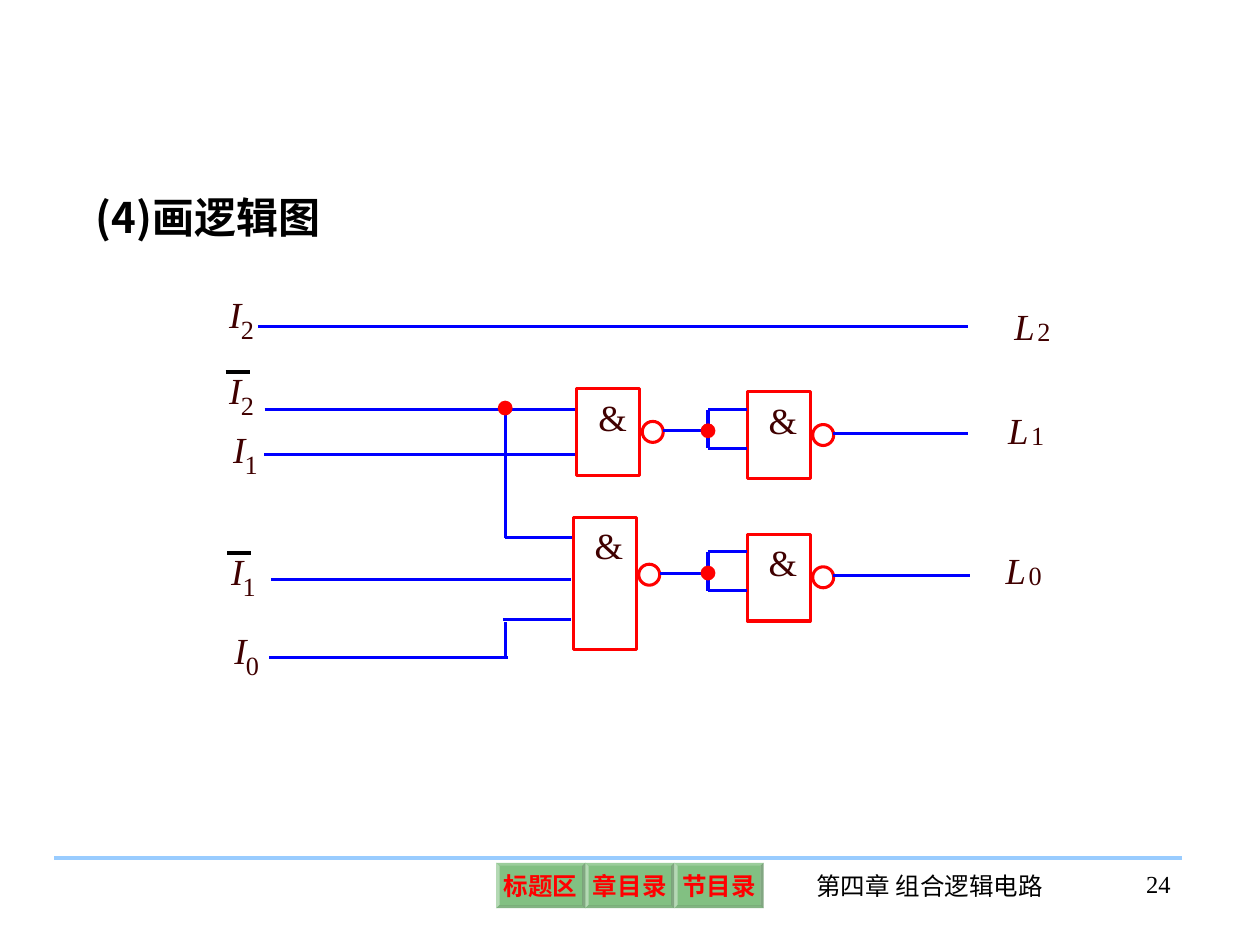
from dataclasses import dataclass

import pptx
import pptx.dml.color
import pptx.enum.shapes
import pptx.enum.text
import pptx.oxml.ns
import pptx.util
from lxml import etree

Pt = pptx.util.Pt
SHAPE = pptx.enum.shapes.MSO_SHAPE
ALIGN = pptx.enum.text.PP_ALIGN
ANCHOR = pptx.enum.text.MSO_ANCHOR
qn = pptx.oxml.ns.qn


@dataclass(frozen=True)
class Theme:
    latin: str = "Times New Roman"
    cjk: str = "Noto Sans CJK SC"
    black: str = "000000"
    red: str = "FF0000"
    wire: str = "0000FF"
    label: str = "400000"
    rule: str = "99CCFF"
    button: str = "008000"
    title_size: float = 24
    symbol_size: float = 21
    sub_size: float = 15
    footer_size: float = 14
    thin: float = 1.75
    thick: float = 2.25


T = Theme()


def rgb(color):
    return pptx.dml.color.RGBColor.from_string(color)


def write(tf, text, size, color, align, font=T.latin, bold=False,
          italic=False, margins=(0, 0), wrap=False, anchor=ANCHOR.TOP):
    """Format a text frame and put one run in it."""
    tf.margin_left = tf.margin_right = Pt(margins[0])
    tf.margin_top = tf.margin_bottom = Pt(margins[1])
    tf.word_wrap = wrap
    tf.vertical_anchor = anchor
    p = tf.paragraphs[0]
    p.alignment = align
    r = p.add_run()
    r.text = text
    r.font.name = font
    r.font.size = Pt(size)
    r.font.bold = bold
    r.font.italic = italic
    r.font.color.rgb = rgb(color)
    latin = r.font._element.find(qn("a:latin"))
    ea = etree.Element(qn("a:ea"), typeface=T.cjk)
    latin.addnext(ea)
    return p


def add_text(s, x, y, w, h, *args, **kwargs):
    box = s.shapes.add_textbox(Pt(x), Pt(y), Pt(w), Pt(h))
    write(box.text_frame, *args, **kwargs)


def add_line(s, x1, y1, x2, y2, color=T.wire, width=T.thin):
    line = s.shapes.add_connector(pptx.enum.shapes.MSO_CONNECTOR.STRAIGHT,
                                  Pt(x1), Pt(y1), Pt(x2), Pt(y2))
    line.line.color.rgb = rgb(color)
    line.line.width = Pt(width)
    etree.SubElement(line._element.spPr, qn("a:effectLst"))


def add_outline(s, kind, x, y, w, h, filled=False):
    sp = s.shapes.add_shape(kind, Pt(x), Pt(y), Pt(w), Pt(h))
    sp.shadow.inherit = False
    if filled:
        sp.fill.solid()
        sp.fill.fore_color.rgb = rgb(T.red)
    else:
        sp.fill.background()
    sp.line.color.rgb = rgb(T.red)
    sp.line.width = Pt(T.thin)


def add_dot(s, cx, cy, d=6.7):
    add_outline(s, SHAPE.OVAL, cx - d / 2, cy - d / 2, d, d, filled=True)


def add_gate(s, x, y, h=49.6):
    """NAND gate: box, & sign and the inverting bubble."""
    add_outline(s, SHAPE.RECTANGLE, x, y, 36, h)
    add_text(s, x + 12.2, y + 3.2, 16.5, 25, "&", T.symbol_size, T.label,
             ALIGN.CENTER)
    bubble_y = y + (18.6 if h < 60 else 26.6)
    add_outline(s, SHAPE.OVAL, x + 37.4, bubble_y, 12, 12)


def add_inverter(s, x, y, feed_x, out_x):
    """NAND gate with joined inputs, its feed and its output wire."""
    add_gate(s, x, y)
    joint, top, mid, bottom = x - 22.4, y + 10, y + 22.2, y + 32.3
    add_line(s, feed_x, mid, joint - 1, mid)
    add_line(s, joint, top, joint, mid)
    add_line(s, joint, mid, joint, bottom)
    for level in (top, bottom):
        add_line(s, joint, level, x, level)
    add_line(s, x + 49, y + 23.6, out_x, y + 23.6)
    add_dot(s, joint, mid)


def add_label(s, letter, sub, x, y, barred=False):
    """Italic variable with its subscript and, if negated, a bar."""
    w, dx, dy = {"I": (7, 6.6, 12.2), "L": (11.6, 13.2, 6.5)}[letter]
    add_text(s, x, y, w, 25, letter, T.symbol_size, T.label, ALIGN.CENTER,
             italic=True)
    add_text(s, x + dx, y + dy, 7.6, 18, sub, T.sub_size, T.label,
             ALIGN.CENTER)
    if barred:
        add_line(s, x - 2, y + 2.3, x + 11.7, y + 2.3, T.black, T.thick)


def add_button(s, x, text):
    sp = s.shapes.add_shape(SHAPE.BEVEL, Pt(x), Pt(493), Pt(51), Pt(26))
    sp.adjustments[0] = 0.07
    sp.shadow.inherit = False
    sp.line.fill.background()
    sp.fill.solid()
    sp.fill.fore_color.rgb = rgb(T.button)
    color = sp._element.spPr.find(".//" + qn("a:srgbClr"))
    etree.SubElement(color, qn("a:alpha"), val="49000")
    write(sp.text_frame, text, T.footer_size, T.red, ALIGN.CENTER, bold=True,
          margins=(3, 3), anchor=ANCHOR.MIDDLE)


def add_title(s, text):
    sp = s.shapes.title
    sp.left, sp.top, sp.width, sp.height = Pt(47.5), Pt(97), Pt(278), Pt(42)
    p = write(sp.text_frame, text, T.title_size, T.black, ALIGN.JUSTIFY,
              font=T.cjk, bold=True, margins=(7.2, 3.6), wrap=True)
    p.line_spacing = 1.31


def add_footer(s):
    add_line(s, 31, 490.2, 675.4, 490.2, T.rule, T.thick)
    for i, text in enumerate(("标题区", "章目录", "节目录")):
        add_button(s, 283.5 + 50.9 * i, text)
    for x, y, w, text, align in (
            (449.3, 494, 164, "第四章 组合逻辑电路", ALIGN.CENTER),
            (614, 493.2, 62, "24", ALIGN.RIGHT)):
        add_text(s, x, y, w, 36, text, T.footer_size, T.black, align,
                 margins=(7.2, 3.6), wrap=True)


def add_circuit(s):
    # Input wires and the branches between them
    branch = 288.7
    for wire in ((147.6, 186.5, 553, 186.5),
                 (151.3, 234, 329.8, 234),
                 (151, 259.7, 329.8, 259.7),
                 (branch, 233.3, branch, 307.4),
                 (branch, 307.4, 327.6, 307.4),
                 (154.8, 331.3, 326.2, 331.3),
                 (154, 375.8, 290.2, 375.8),
                 (branch, 355.7, branch, 375.8),
                 (287.3, 354.2, 326.2, 354.2)):
        add_line(s, *wire)
    add_dot(s, branch, 233.2)

    # Gates
    add_gate(s, 329.6, 222.2)
    add_gate(s, 327.6, 295.8, h=75.6)
    add_inverter(s, 427, 224, 379, 553)
    add_inverter(s, 427, 305.3, 377.3, 554.4)

    # Input and output names
    for label in (("I", "2", 131, 167), ("I", "2", 131, 210.2, True),
                  ("I", "1", 133.2, 244.1), ("I", "1", 132, 313.8, True),
                  ("I", "0", 133.9, 358.6), ("L", "2", 579.6, 173.5),
                  ("L", "1", 576, 233.3), ("L", "0", 574.6, 313.2)):
        add_label(s, *label)


def main():
    prs = pptx.Presentation()
    prs.slide_width, prs.slide_height = Pt(720), Pt(540)
    s = prs.slides.add_slide(prs.slide_layouts[5])
    add_title(s, "(4)画逻辑图")
    add_circuit(s)
    add_footer(s)
    prs.save("out.pptx")


if __name__ == "__main__":
    main()
